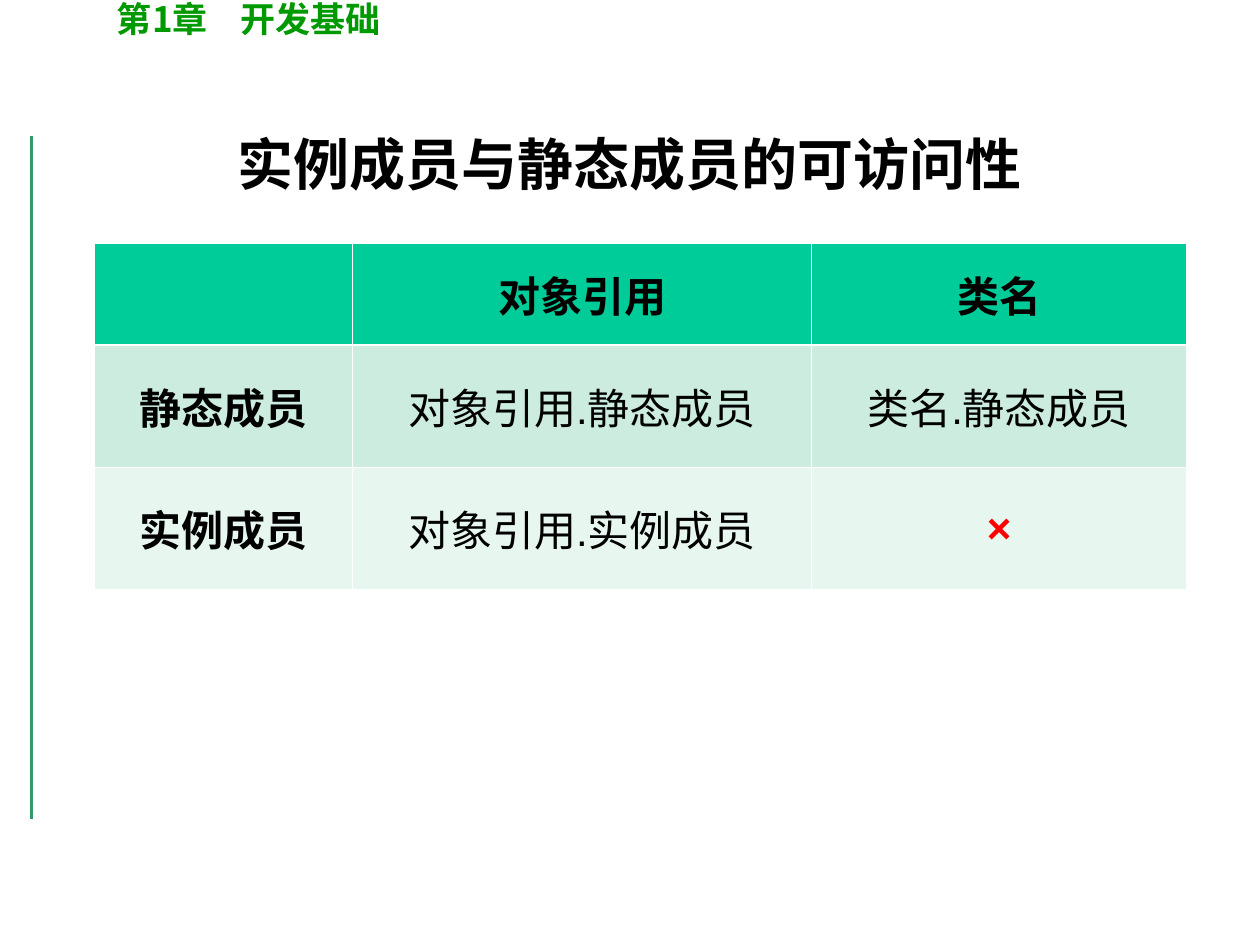
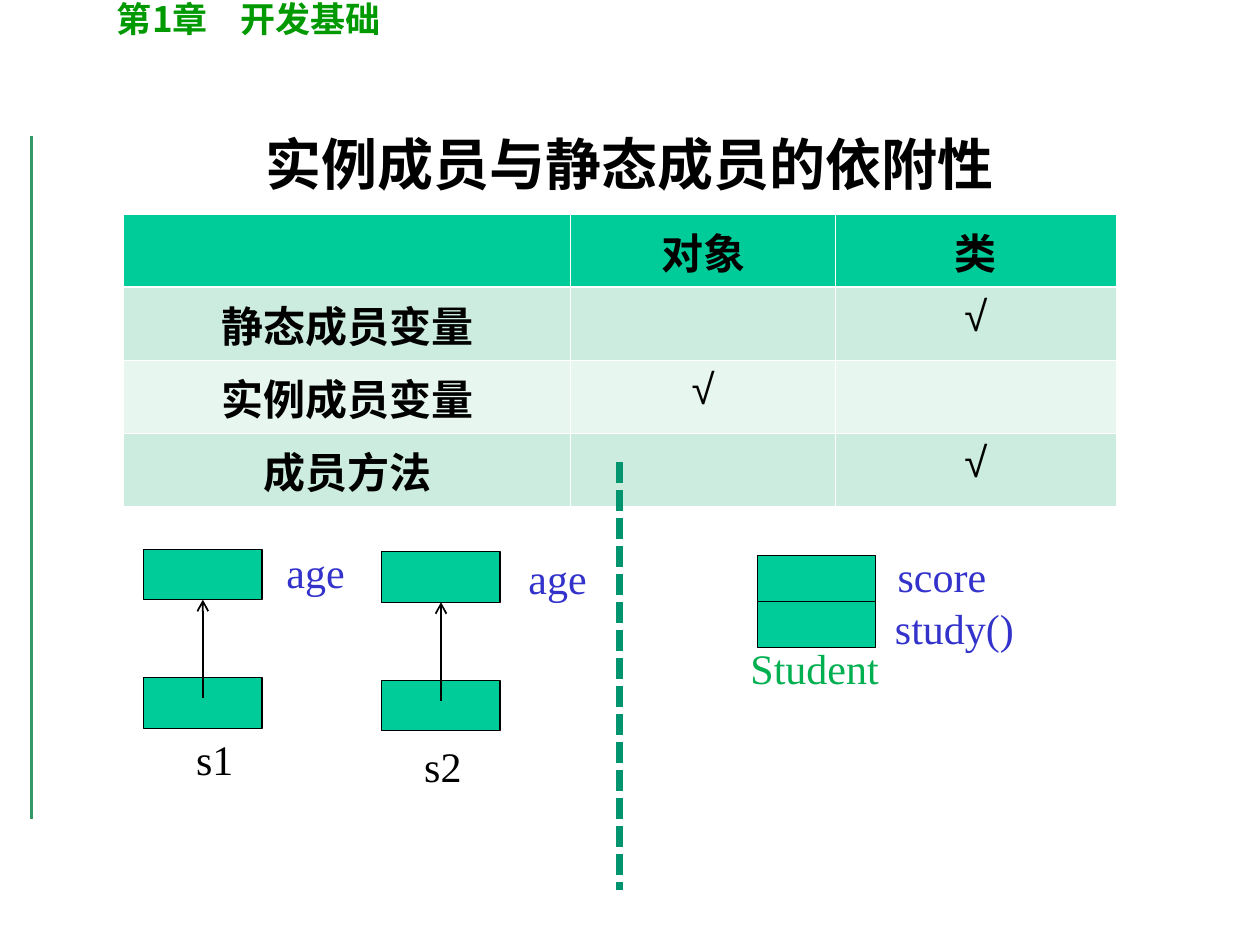
"""Build two slides comparing instance members with static members."""
from dataclasses import dataclass, replace
from typing import Optional

from lxml.etree import SubElement
from pptx import Presentation
from pptx.dml.color import RGBColor
from pptx.enum.dml import MSO_LINE
from pptx.enum.shapes import MSO_CONNECTOR, MSO_SHAPE
from pptx.enum.text import MSO_ANCHOR, MSO_AUTO_SIZE, PP_ALIGN
from pptx.oxml.ns import qn
from pptx.shapes.autoshape import Shape
from pptx.shapes.connector import Connector
from pptx.slide import Slide
from pptx.table import _Cell as Cell
from pptx.text.text import _Paragraph as Paragraph
from pptx.util import Inches, Pt

Point = tuple[float, float]
Box = tuple[float, float, float, float]


@dataclass(frozen=True)
class Theme:
    black: str = "000000"
    white: str = "FFFFFF"
    red: str = "FF0000"
    chapter_green: str = "009900"
    rule_green: str = "339966"
    divider_green: str = "00956F"
    class_green: str = "00B050"
    member_blue: str = "3333CC"
    accent: str = "00CC99"
    bands: tuple[str, str] = ("CBECDE", "E7F6EF")
    serif: str = "Times New Roman"
    sans: str = "Arial"
    chinese: str = "Noto Sans CJK SC"
    title_size: int = 32
    body_size: int = 24
    chapter_size: int = 20
    thin_border: float = 0.45
    header_border: float = 1.47


THEME = Theme()


@dataclass(frozen=True)
class TextStyle:
    size: int = THEME.body_size
    color: str = THEME.black
    bold: bool = False
    latin: str = THEME.serif
    east_asian: str = THEME.chinese


TITLE = TextStyle(size=THEME.title_size, bold=True)
CHAPTER = TextStyle(THEME.chapter_size, THEME.chapter_green, True, THEME.chinese)
LABEL = TextStyle()
MEMBER = TextStyle(color=THEME.member_blue)
CLASS_NAME = TextStyle(color=THEME.class_green)
HEADING = TextStyle(bold=True)
ENTRY = TextStyle(latin=THEME.sans)
TICK = replace(ENTRY, east_asian=THEME.sans)
CROSS = replace(TICK, color=THEME.red, bold=True)
MARKS = {"√": TICK, "×": CROSS}


@dataclass(frozen=True)
class Grid:
    left: float
    top: float
    columns: tuple[float, ...]
    rows: tuple[float, ...]
    cells: tuple[tuple[str, ...], ...]
    anchor: MSO_ANCHOR


@dataclass(frozen=True)
class ObjectSketch:
    name: str
    left: float
    top: float
    field_at: Point
    name_at: Point


@dataclass(frozen=True)
class Label:
    text: str
    box: Box
    style: TextStyle


ACCESS = Grid(
    0.75, 1.93, (2.05, 3.64, 2.98), (0.81, 0.97, 0.97),
    (("", "对象引用", "类名"),
     ("静态成员", "对象引用.静态成员", "类名.静态成员"),
     ("实例成员", "对象引用.实例成员", "×")),
    MSO_ANCHOR.MIDDLE)
DEPENDENCE = Grid(
    0.98, 1.7, (3.55, 2.1, 2.23), (0.58,) * 4,
    (("", "对象", "类"),
     ("静态成员变量", "", "√"),
     ("实例成员变量", "√", ""),
     ("成员方法", "", "√")),
    MSO_ANCHOR.TOP)
OBJECTS = (
    ObjectSketch("s1", 1.14, 4.36, (1.98, 4.38), (1.46, 5.87)),
    ObjectSketch("s2", 3.03, 4.38, (3.9, 4.43), (3.27, 5.92)))
CLASS_LABELS = (
    Label("score", (6.95, 4.41, 1.05, 0.31), MEMBER),
    Label("study()", (7.05, 4.83, 1.05, 0.31), MEMBER),
    Label("Student", (5.92, 5.14, 1.09, 0.31), CLASS_NAME))
BOX_WIDTH, BOX_HEIGHT = 0.94, 0.4
REFERENCE_DROP, ARROW_DROP = 1.02, 1.18


def write(paragraph: Paragraph, text: str, style: TextStyle,
          alignment: PP_ALIGN = PP_ALIGN.CENTER) -> None:
    """Fill a paragraph with one styled run."""
    paragraph.alignment = alignment
    run = paragraph.add_run()
    run.text = text
    formats = {"size": Pt(style.size), "bold": style.bold, "name": style.latin}
    for attribute, value in formats.items():
        setattr(run.font, attribute, value)
    run.font.color.rgb = RGBColor.from_string(style.color)
    SubElement(run.font._element, qn("a:ea"), typeface=style.east_asian)


def add_line(slide: Slide, start: Point, end: Point, color: str, width: float,
             dash: Optional[MSO_LINE] = None, arrow: bool = False) -> Connector:
    """Draw a straight line, dashed or with an arrowhead on request."""
    connector = slide.shapes.add_connector(
        MSO_CONNECTOR.STRAIGHT, *map(Inches, start + end))
    connector.line.color.rgb = RGBColor.from_string(color)
    connector.line.width = Pt(width)
    if dash is not None:
        connector.line.dash_style = dash
    properties = connector.element.spPr
    if arrow:
        SubElement(properties.find(qn("a:ln")), qn("a:tailEnd"), type="arrow")
    SubElement(properties, qn("a:effectLst"))
    return connector


def add_box(slide: Slide, left: float, top: float,
            height: float = BOX_HEIGHT) -> Shape:
    """Draw a filled memory box."""
    shape = slide.shapes.add_shape(
        MSO_SHAPE.RECTANGLE, *map(Inches, (left, top, BOX_WIDTH, height)))
    shape.shadow.inherit = False
    shape.fill.solid()
    shape.fill.fore_color.rgb = RGBColor.from_string(THEME.accent)
    shape.line.color.rgb = RGBColor.from_string(THEME.black)
    shape.line.width = Pt(0.75)
    return shape


def add_label(slide: Slide, label: Label) -> None:
    """Place a centred, unwrapped label without side margins."""
    frame = slide.shapes.add_textbox(*map(Inches, label.box)).text_frame
    formats = {"word_wrap": False, "vertical_anchor": MSO_ANCHOR.MIDDLE,
               "margin_left": 0, "margin_right": 0}
    for attribute, value in formats.items():
        setattr(frame, attribute, value)
    write(frame.paragraphs[0], label.text, label.style)


def add_chapter(slide: Slide) -> None:
    """Place the chapter line at the top of the slide."""
    box = slide.shapes.add_textbox(*map(Inches, (0.83, -0.07, 5.75, 0.44)))
    box.text_frame.word_wrap = True
    paragraph = box.text_frame.paragraphs[0]
    tabs = SubElement(paragraph._p.get_or_add_pPr(), qn("a:tabLst"))
    SubElement(tabs, qn("a:tab"), pos=str(Inches(0.98)), algn="l")
    write(paragraph, "第1章\t开发基础", CHAPTER, PP_ALIGN.LEFT)


def start_slide(presentation: Presentation, title: str) -> Slide:
    """Add a slide with the side rule, chapter line and title."""
    slide = presentation.slides.add_slide(presentation.slide_layouts[5])
    add_line(slide, (0.25, 1.08), (0.25, 6.5), THEME.rule_green, 2.25)
    add_chapter(slide)
    shape = slide.shapes.title
    box = zip(("left", "top", "width", "height"), (0.75, 0.67, 8.5, 1.25))
    for attribute, value in box:
        setattr(shape, attribute, Inches(value))
    shape.text_frame.auto_size = MSO_AUTO_SIZE.NONE
    shape.text_frame.vertical_anchor = MSO_ANCHOR.MIDDLE
    write(shape.text_frame.paragraphs[0], title, TITLE)
    return slide


def format_cell(cell: Cell, row: int) -> None:
    """Give a cell its white borders and band fill."""
    widths = {"L": THEME.thin_border, "R": THEME.thin_border,
              "T": THEME.header_border if row == 1 else THEME.thin_border,
              "B": THEME.header_border if row == 0 else THEME.thin_border}
    properties = cell._tc.get_or_add_tcPr()
    for side, width in widths.items():
        border = SubElement(properties, qn(f"a:ln{side}"), w=str(Pt(width)))
        SubElement(SubElement(border, qn("a:solidFill")),
                   qn("a:srgbClr"), val=THEME.white)
    color = THEME.bands[(row - 1) % 2] if row else THEME.accent
    cell.fill.solid()
    cell.fill.fore_color.rgb = RGBColor.from_string(color)


def add_grid(slide: Slide, grid: Grid) -> None:
    """Draw a banded comparison table."""
    size = (grid.left, grid.top, sum(grid.columns), sum(grid.rows))
    table = slide.shapes.add_table(
        len(grid.rows), len(grid.columns), *map(Inches, size)).table
    for column, width in zip(table.columns, grid.columns):
        column.width = Inches(width)
    for row, (height, texts) in enumerate(zip(grid.rows, grid.cells)):
        table.rows[row].height = Inches(height)
        for column, text in enumerate(texts):
            cell = table.cell(row, column)
            format_cell(cell, row)
            cell.vertical_anchor = grid.anchor
            if text:
                is_heading = row == 0 or column == 0
                style = HEADING if is_heading else MARKS.get(text, ENTRY)
                write(cell.text_frame.paragraphs[0], text, style)


def add_object(slide: Slide, sketch: ObjectSketch) -> None:
    """Draw a reference pointing to its object's field."""
    field = add_box(slide, sketch.left, sketch.top)
    add_box(slide, sketch.left, sketch.top + REFERENCE_DROP)
    add_label(slide, Label("age", (*sketch.field_at, 1.05, 0.31), MEMBER))
    add_label(slide, Label(sketch.name, (*sketch.name_at, 0.49, 0.31), LABEL))
    middle = sketch.left + BOX_WIDTH / 2
    arrow = add_line(slide, (middle, sketch.top + ARROW_DROP),
                     (middle, sketch.top + BOX_HEIGHT), THEME.black, 1, arrow=True)
    arrow.end_connect(field, 2)


def add_class(slide: Slide) -> None:
    """Draw the class box, split in two, with its labels."""
    box = add_box(slide, 6.01, 4.41, 0.73)
    split = add_line(slide, (6.01, 4.77), (6.95, 4.77), THEME.black, 1)
    split.begin_connect(box, 1)
    split.end_connect(box, 3)
    for label in CLASS_LABELS:
        add_label(slide, label)


def main() -> None:
    """Build and save the presentation."""
    presentation = Presentation()
    presentation.slide_width = Inches(10)
    presentation.slide_height = Inches(7.5)

    access_slide = start_slide(presentation, "实例成员与静态成员的可访问性")
    add_grid(access_slide, ACCESS)

    dependence_slide = start_slide(presentation, "实例成员与静态成员的依附性")
    add_grid(dependence_slide, DEPENDENCE)
    for sketch in OBJECTS:
        add_object(dependence_slide, sketch)
    add_class(dependence_slide)
    add_line(dependence_slide, (4.92, 3.67), (4.92, 7.06),
             THEME.divider_green, 4, dash=MSO_LINE.SQUARE_DOT)
    presentation.save("out.pptx")


if __name__ == "__main__":
    main()
